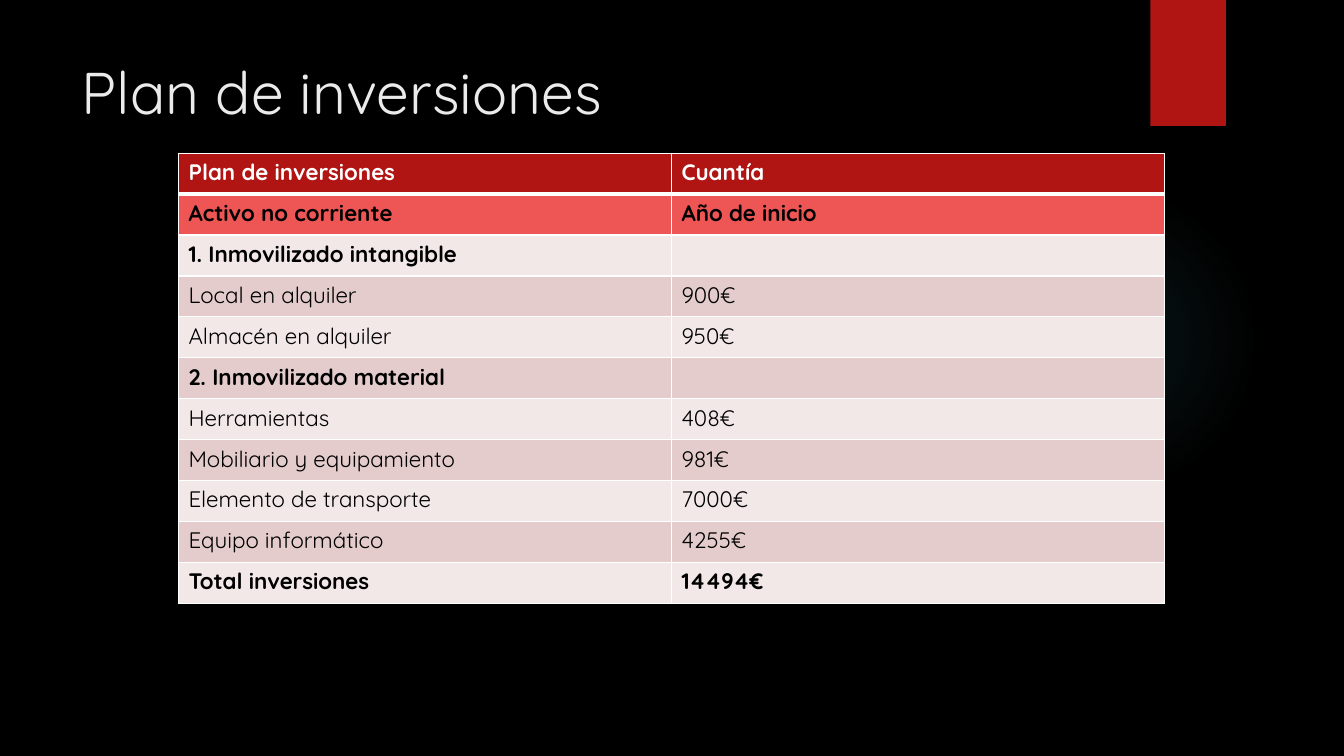
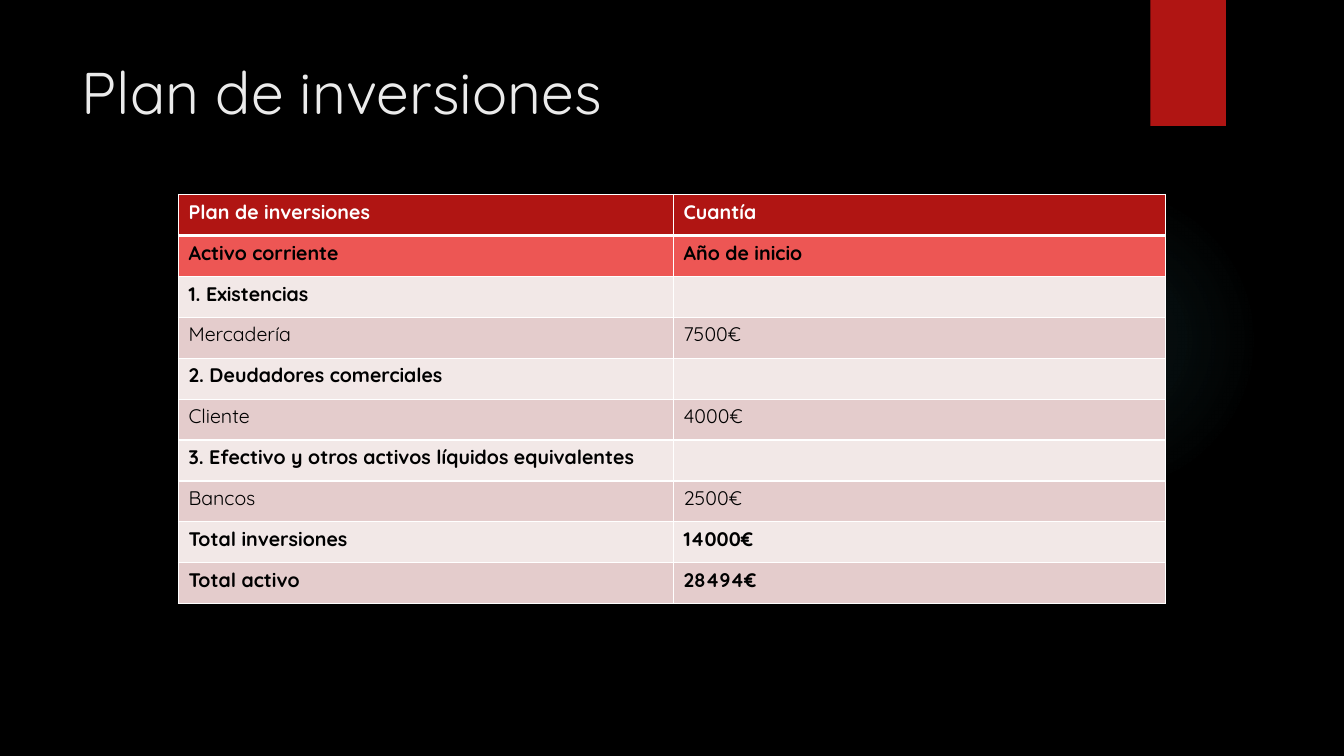
from lxml import etree
from pptx import Presentation
from pptx.dml.color import RGBColor
from pptx.enum.shapes import MSO_SHAPE
from pptx.enum.text import MSO_ANCHOR, PP_ALIGN
from pptx.oxml import parse_xml
from pptx.util import Inches, Pt

OVAL, RECT = MSO_SHAPE.OVAL, MSO_SHAPE.RECTANGLE
TOP, LEFT = MSO_ANCHOR.TOP, PP_ALIGN.LEFT

TITLE = "Plan de inversiones"
HEAD = ("Plan de inversiones", "Cuantía")
PLANS = [
    {"top": 1.52, "size": 16, "cols": (4.89, 4.89), "rows": [
        HEAD,
        ("Activo no corriente", "Año de inicio"),
        ("1. Inmovilizado intangible", ""),
        ("Local en alquiler", "900€"),
        ("Almacén en alquiler", "950€"),
        ("2. Inmovilizado material", ""),
        ("Herramientas", "408€"),
        ("Mobiliario y equipamiento", "981€"),
        ("Elemento de transporte", "7000€"),
        ("Equipo informático", "4255€"),
        ("Total inversiones", "14494€"),
    ]},
    {"top": 1.93, "size": 14, "cols": (4.91, 4.88), "rows": [
        HEAD,
        ("Activo corriente", "Año de inicio"),
        ("1. Existencias", ""),
        ("Mercadería", "7500€"),
        ("2. Deudadores comerciales", ""),
        ("Cliente", "4000€"),
        ("3. Efectivo y otros activos líquidos equivalentes", ""),
        ("Bancos", "2500€"),
        ("Total inversiones", "14000€"),
        ("Total activo", "28494€"),
    ]},
]

FONT = "Quicksand"
COLOR = {
    "back": "000000", "title": "EBEBEB", "red": "B01513", "coral": "ED5654",
    "pale": "F2E8E7", "rose": "E4CCCC", "white": "FFFFFF", "black": "000000",
    "glow": "50B9C1",
}
GLOW = [(0, 7), (36, 6), (69, 0)]
TABLE_LEFT, ROW_H = 1.77, 0.406
NS = "http://schemas.openxmlformats.org/drawingml/2006/main"


def rgb(name):
    return RGBColor.from_string(COLOR[name])


def paint(fill, name):
    fill.solid()
    fill.fore_color.rgb = rgb(name)


def style(para, size, name, bold=False):
    font = para.font
    font.name, font.size, font.bold = FONT, Pt(size), bold
    font.color.rgb = rgb(name)


def add_decor(slide, master, kind, box, num):
    shape = slide.shapes.add_shape(kind, *map(Inches, box))
    shape.shadow.inherit = False
    paint(shape.fill, "red")
    shape.line.fill.background()
    shape.element.nvSpPr.cNvPr.set("id", str(num))
    master.shapes.element.append(shape.element)
    return shape.element.spPr


def add_glow(props):
    stops = "".join(
        f'<a:gs pos="{pos * 1000}"><a:srgbClr val="{COLOR["glow"]}">'
        f'<a:alpha val="{alpha * 1000}"/></a:srgbClr></a:gs>'
        for pos, alpha in GLOW)
    grad = parse_xml(
        f'<a:gradFill xmlns:a="{NS}"><a:gsLst>{stops}</a:gsLst>'
        '<a:path path="circle"><a:fillToRect l="50000" t="50000" '
        'r="50000" b="50000"/></a:path></a:gradFill>')
    props.replace(props.find(f"{{{NS}}}solidFill"), grad)


def add_shadow(props):
    props.find(f"{{{NS}}}effectLst").append(parse_xml(
        f'<a:outerShdw xmlns:a="{NS}" blurRad="{Pt(3)}" dist="{Pt(2)}" '
        f'dir="5400000" rotWithShape="0"><a:srgbClr val="{COLOR["black"]}">'
        '<a:alpha val="45000"/></a:srgbClr></a:outerShdw>'))


def add_edges(cell, row):
    props = cell._tc.get_or_add_tcPr()
    widths = {"L": 1, "R": 1, "T": 3 if row == 1 else 1, "B": 3 if row == 0 else 1}
    for side, width in widths.items():
        line = etree.SubElement(props, f"{{{NS}}}ln{side}", w=str(Pt(width)))
        fill = etree.SubElement(line, f"{{{NS}}}solidFill")
        etree.SubElement(fill, f"{{{NS}}}srgbClr", val=COLOR["white"])


def row_fill(row):
    if row < 2:
        return ("red", "coral")[row]
    return ("pale", "rose")[row % 2]


def add_plan(slide, plan):
    rows, cols = plan["rows"], plan["cols"]
    frame = slide.shapes.add_table(
        len(rows), len(cols), Inches(TABLE_LEFT), Inches(plan["top"]),
        Inches(sum(cols)), Inches(ROW_H * len(rows)))
    table = frame.table
    table.horz_banding = False
    for col, width in zip(table.columns, cols):
        col.width = Inches(width)
    for r, texts in enumerate(rows):
        table.rows[r].height = Inches(ROW_H)
        label, amount = texts
        bold = r < 2 or not amount or label.startswith("Total")
        for c, text in enumerate(texts):
            cell = table.cell(r, c)
            add_edges(cell, r)
            paint(cell.fill, row_fill(r))
            cell.text = text
            style(cell.text_frame.paragraphs[0], plan["size"],
                  "white" if r == 0 else "black", bold)


def add_title(slide):
    title = slide.shapes.title
    title.text = TITLE
    title.text_frame.vertical_anchor = TOP
    para = title.text_frame.paragraphs[0]
    para.alignment = LEFT
    style(para, 42, "title")


deck = Presentation()
deck.slide_width, deck.slide_height = Inches(13.33), Inches(7.5)
master = deck.slide_master
paint(master.background.fill, "back")
layout = deck.slide_layouts.get_by_name("Title Only")
head = layout.placeholders[0]
head.left, head.top, head.width, head.height = map(Inches, (0.71, 0.5, 10.29, 1.53))

slides = [deck.slides.add_slide(layout) for _ in PLANS]
add_glow(add_decor(slides[0], master, OVAL, (9.41, 1.83, 3.08, 3.08), 20))
add_shadow(add_decor(slides[0], master, RECT, (11.41, 0, 0.75, 1.25), 21))
for slide, plan in zip(slides, PLANS):
    add_title(slide)
    add_plan(slide, plan)

deck.save("out.pptx")
